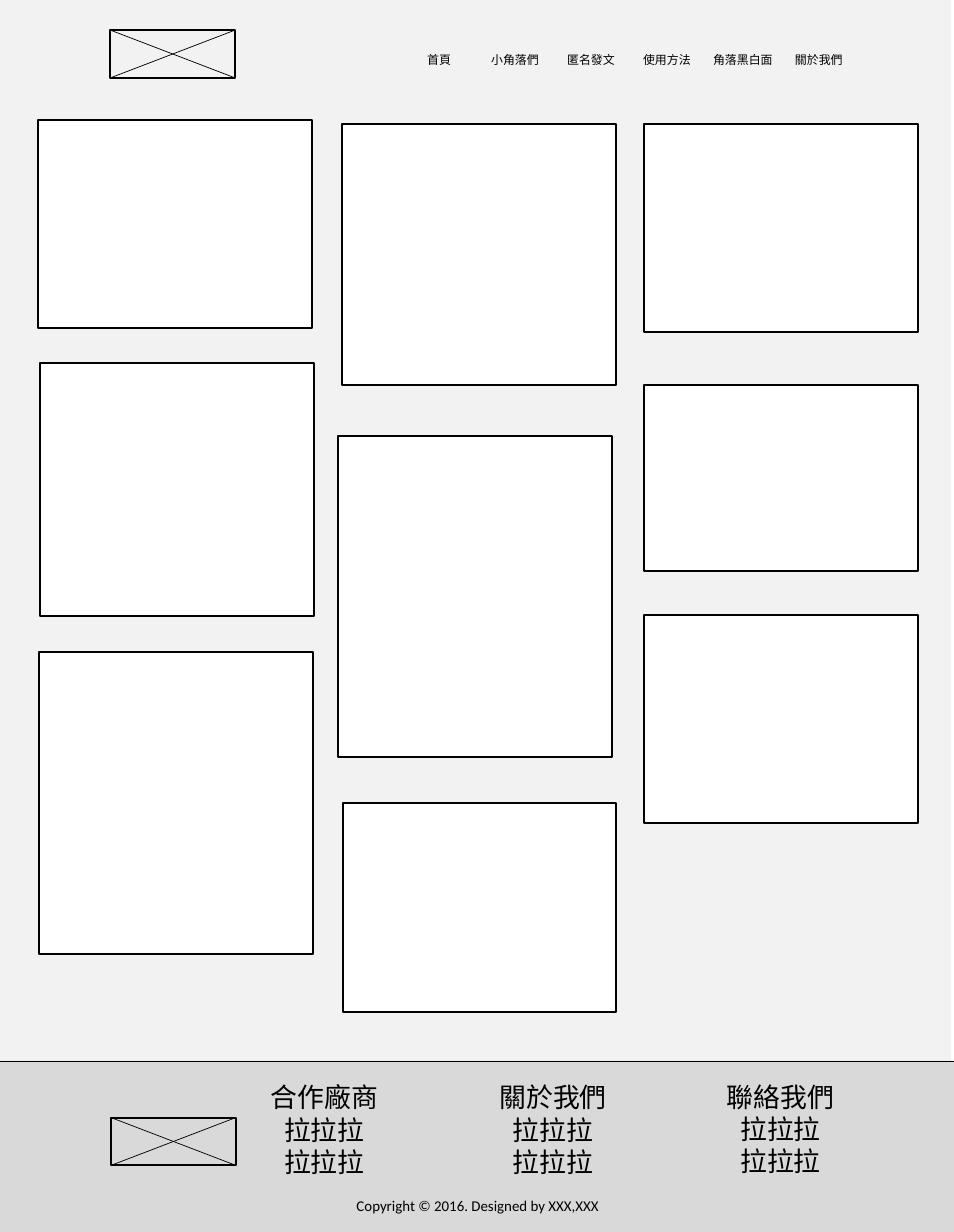
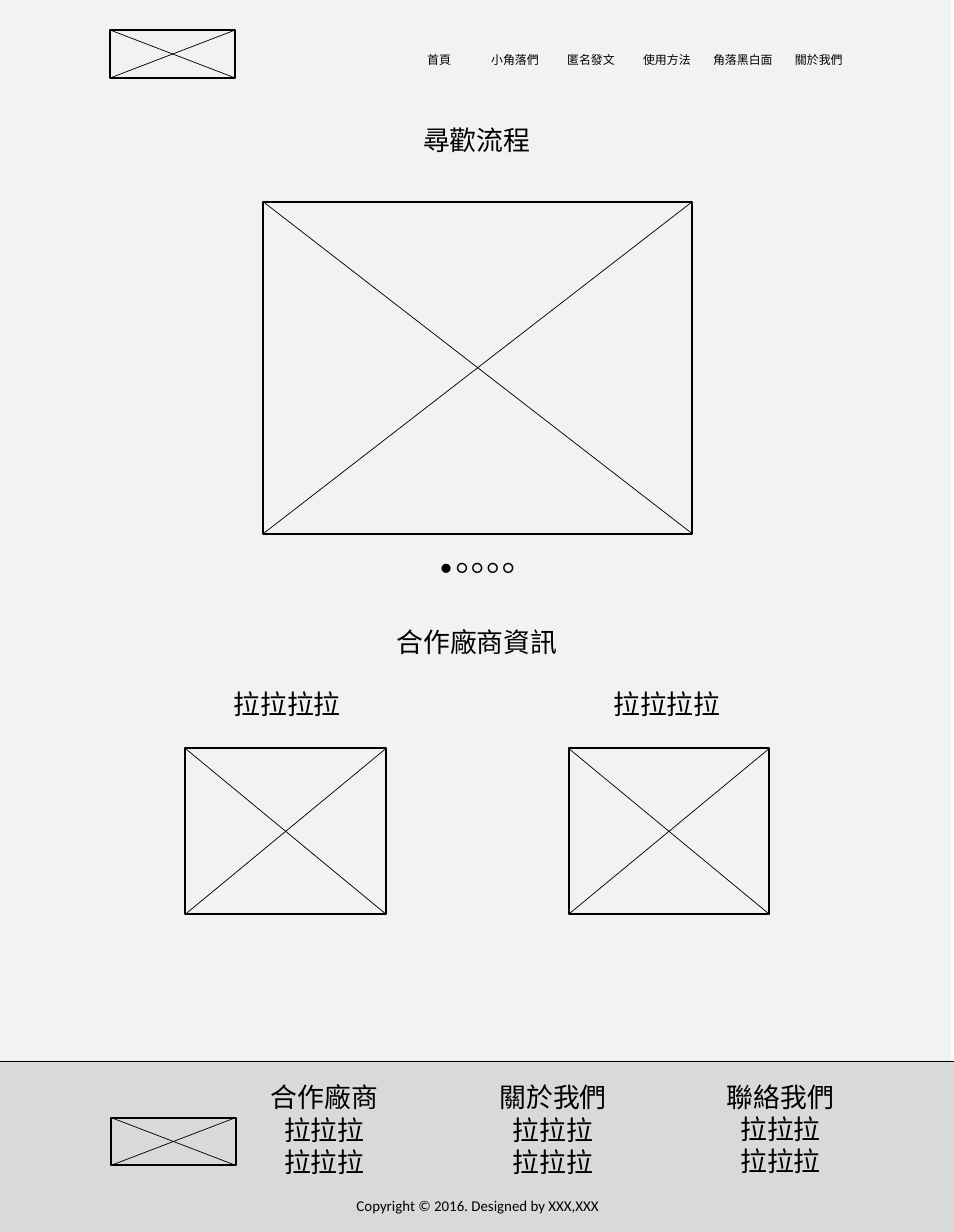
"""Build two website wireframe pages sharing a header, a navigation row and a footer."""
from typing import NamedTuple

from lxml.etree import SubElement
from pptx import Presentation
from pptx.dml.color import RGBColor
from pptx.enum.shapes import MSO_CONNECTOR, MSO_SHAPE
from pptx.enum.text import MSO_AUTO_SIZE, PP_ALIGN
from pptx.oxml.ns import qn
from pptx.shapes.autoshape import Shape
from pptx.shapes.shapetree import GroupShapes, SlideShapes
from pptx.slide import Slide
from pptx.util import Inches, Pt

INK = RGBColor(0x00, 0x00, 0x00)
PAPER = RGBColor(0xFF, 0xFF, 0xFF)
PAGE_GREY = RGBColor(0xF2, 0xF2, 0xF2)
FOOTER_GREY = RGBColor(0xD9, 0xD9, 0xD9)
FONT = "Calibri"
PAGE_WIDTH, PAGE_HEIGHT = 13.34, 17.22
FOOTER_TOP = 14.83
FRAME_WEIGHT, HAIRLINE = 2, 0.75
HEADING_SIZE, COPYRIGHT_SIZE, NAV_SIZE, DOTS_SIZE = 27, 15, 12, 20
NAV_LEFT, NAV_STEP = 5.61, 1.062
CARD_WIDTH = 3.83


class Box(NamedTuple):
    """A rectangle in inches."""

    left: float
    top: float
    width: float
    height: float


class Card(NamedTuple):
    """A content card; all cards share one width."""

    left: float
    top: float
    height: float


class Label(NamedTuple):
    """A centred text and its place."""

    text: str
    box: Box
    size: float = HEADING_SIZE


NAV_ITEMS = ["首頁", "小角落們", "匿名發文", "使用方法", "角落黑白面", "關於我們"]
LOGO_SLOTS = [Box(1.54, 0.42, 1.75, 0.67), Box(1.55, 15.62, 1.75, 0.67)]
FOOTER_LABELS = [
    Label(f"{title}\n拉拉拉\n拉拉拉", Box(left, top, 1.75, 1.46))
    for title, left, top in [
        ("合作廠商", 3.66, 15.06), ("關於我們", 6.86, 15.06), ("聯絡我們", 10.04, 15.05)]
] + [Label("Copyright © 2016. Designed by XXX,XXX", Box(3.68, 16.68, 6, 0.35), COPYRIGHT_SIZE)]
CARDS = [
    Card(0.53, 1.68, 2.91), Card(0.56, 5.07, 3.54), Card(0.55, 9.12, 4.21),
    Card(4.78, 1.73, 3.65), Card(4.73, 6.09, 4.49), Card(4.79, 11.23, 2.91),
    Card(9.01, 1.73, 2.91), Card(9.01, 5.38, 2.6), Card(9.01, 8.59, 2.91),
]
PICTURE_SLOTS = [
    Box(3.68, 2.82, 6, 4.64), Box(2.59, 10.46, 2.81, 2.32), Box(7.95, 10.46, 2.81, 2.32)]
PROCESS_LABELS = [
    Label("尋歡流程", Box(5.79, 1.68, 1.75, 0.56)),
    Label("● ○ ○ ○ ○", Box(4.73, 7.7, 3.88, 0.44), DOTS_SIZE),
    Label("合作廠商資訊", Box(4.73, 8.69, 3.88, 0.56)),
    Label("拉拉拉拉", Box(2.61, 9.56, 2.81, 0.56)),
    Label("拉拉拉拉", Box(7.92, 9.56, 2.81, 0.56)),
]


def add_panel(shapes: SlideShapes | GroupShapes, box: Box, *, fill: RGBColor | None = None,
              outlined: bool = False, kind: MSO_SHAPE = MSO_SHAPE.RECTANGLE) -> Shape:
    """Draw a flat panel with an optional fill and frame."""
    panel = shapes.add_shape(kind, *map(Inches, box))
    panel.shadow.inherit = False
    if fill is None:
        panel.fill.background()
    else:
        panel.fill.solid()
        panel.fill.fore_color.rgb = fill
    if outlined:
        panel.line.color.rgb = INK
        panel.line.width = Pt(FRAME_WEIGHT)
    else:
        panel.line.fill.background()
    return panel


def add_line(shapes: SlideShapes | GroupShapes, x1: float, y1: float,
             x2: float, y2: float) -> None:
    """Draw a thin straight line without a shadow."""
    line = shapes.add_connector(MSO_CONNECTOR.STRAIGHT, *map(Inches, (x1, y1, x2, y2)))
    line.line.color.rgb = INK
    line.line.width = Pt(HAIRLINE)
    SubElement(line._element.spPr, qn("a:effectLst"))


def add_text(slide: Slide, text: str, box: Box, *, size: float = HEADING_SIZE,
             color: RGBColor = INK, align: PP_ALIGN = PP_ALIGN.CENTER) -> None:
    """Write text, one paragraph for each line."""
    frame = slide.shapes.add_textbox(*map(Inches, box)).text_frame
    frame.word_wrap = True
    frame.auto_size = MSO_AUTO_SIZE.SHAPE_TO_FIT_TEXT
    frame.text = text
    for paragraph in frame.paragraphs:
        paragraph.alignment = align
        for run in paragraph.runs:
            run.font.name = FONT
            run.font.size = Pt(size)
            run.font.color.rgb = color


def add_labels(slide: Slide, labels: list[Label]) -> None:
    """Write a list of labels."""
    for label in labels:
        add_text(slide, label.text, label.box, size=label.size)


def add_crossed_frame(slide: Slide, box: Box) -> None:
    """Draw a grouped frame with both diagonals."""
    parts = slide.shapes.add_group_shape().shapes
    right, bottom = box.left + box.width, box.top + box.height
    add_panel(parts, box, outlined=True, kind=MSO_SHAPE.FLOWCHART_PROCESS)
    add_line(parts, box.left, box.top, right, bottom)
    add_line(parts, right, box.top, box.left, bottom)


def add_page(deck: Presentation) -> Slide:
    """Add a page with the shared header, navigation and footer."""
    slide = deck.slides.add_slide(deck.slide_layouts[6])
    add_panel(slide.shapes, Box(-0.04, 0, PAGE_WIDTH, FOOTER_TOP), fill=PAGE_GREY)
    add_panel(slide.shapes, Box(0, FOOTER_TOP, PAGE_WIDTH, PAGE_HEIGHT - FOOTER_TOP),
              fill=FOOTER_GREY)
    add_line(slide.shapes, 0, FOOTER_TOP, PAGE_WIDTH, FOOTER_TOP)
    for slot in LOGO_SLOTS:
        add_crossed_frame(slide, slot)
    for index, item in enumerate(NAV_ITEMS):
        add_text(slide, item, Box(NAV_LEFT + index * NAV_STEP, 0.68, 1.06, 0.3), size=NAV_SIZE)
    add_labels(slide, FOOTER_LABELS)
    return slide


def add_card_page(deck: Presentation) -> None:
    """Add the page of content cards."""
    slide = add_page(deck)
    for card in CARDS:
        add_panel(slide.shapes, Box(card.left, card.top, CARD_WIDTH, card.height),
                  fill=PAPER, outlined=True)


def add_process_page(deck: Presentation) -> None:
    """Add the page with the process carousel and the partners."""
    slide = add_page(deck)
    for slot in PICTURE_SLOTS:
        add_crossed_frame(slide, slot)
    add_labels(slide, PROCESS_LABELS)


def main() -> None:
    """Build and save the deck."""
    deck = Presentation()
    deck.slide_width, deck.slide_height = Inches(PAGE_WIDTH), Inches(PAGE_HEIGHT)
    add_card_page(deck)
    add_process_page(deck)
    deck.save("out.pptx")


if __name__ == "__main__":
    main()
